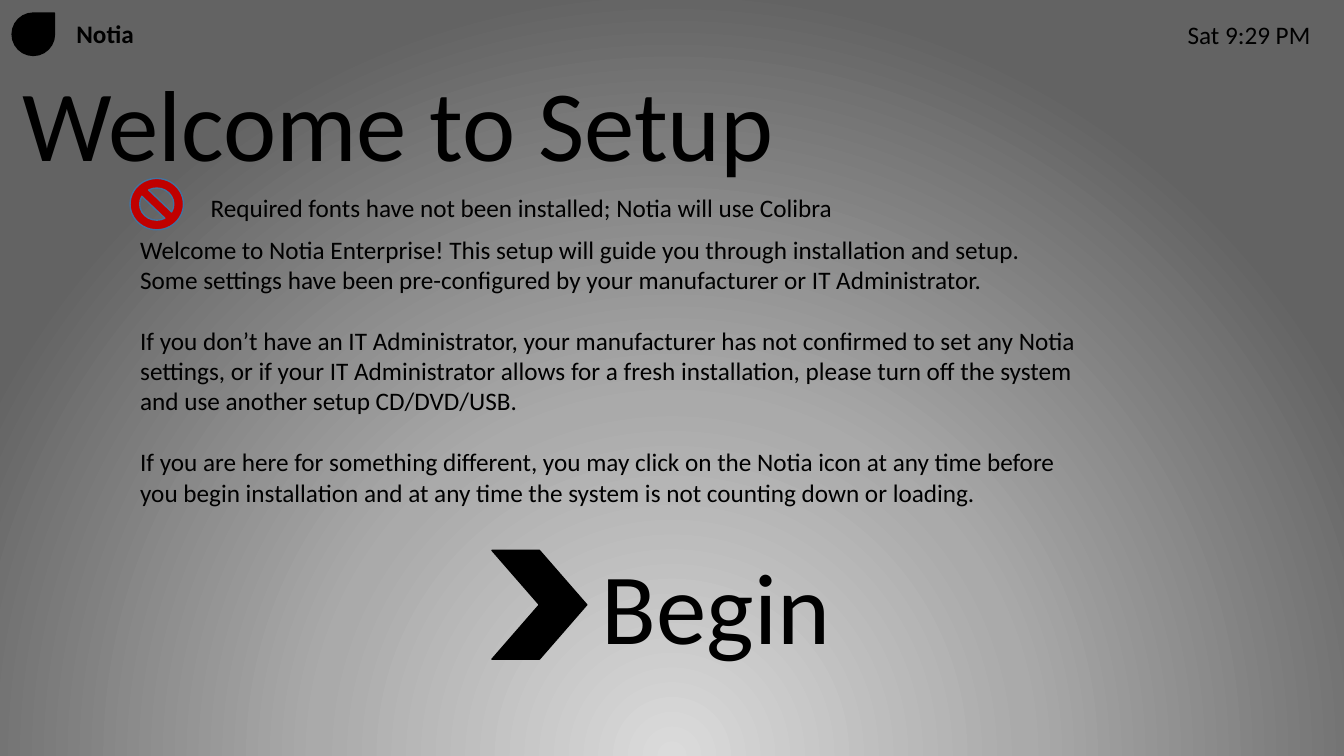
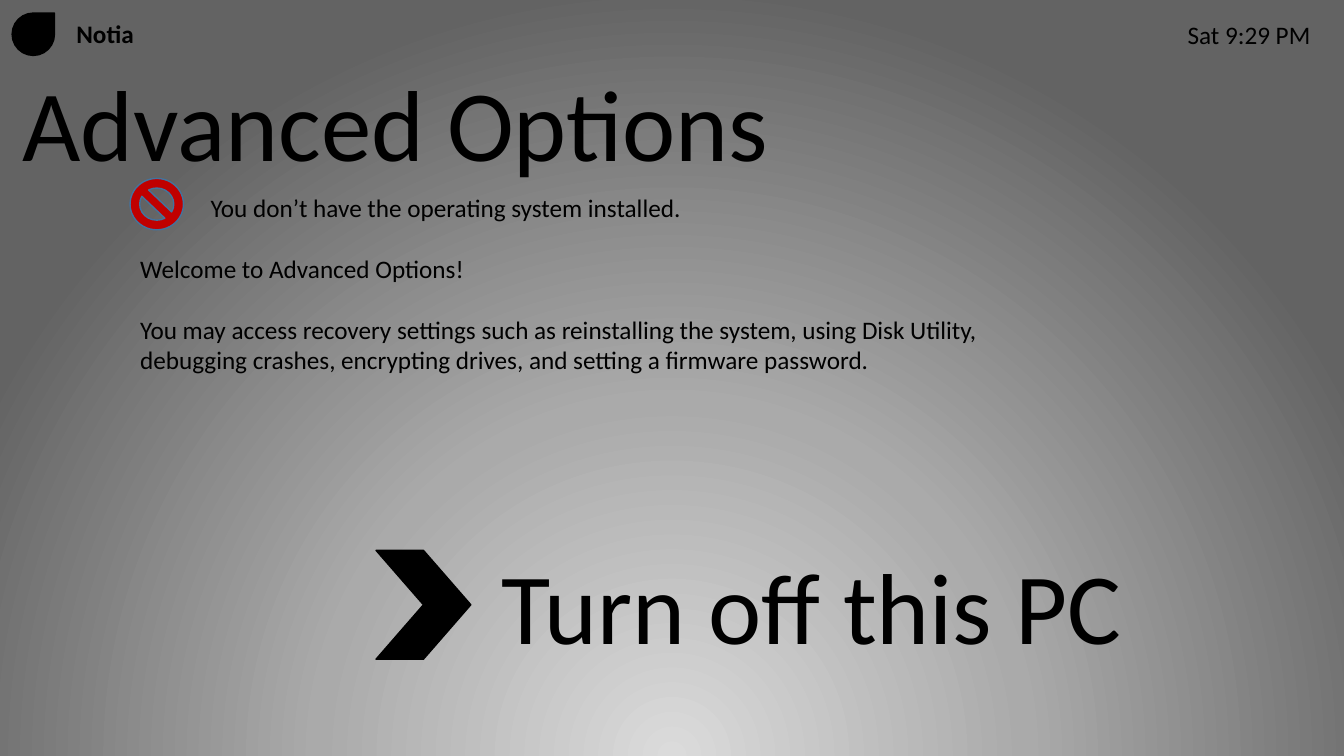
"""Build the two setup screens of the Notia installer."""
from pptx import Presentation
from pptx.dml.color import RGBColor
from pptx.enum.shapes import MSO_SHAPE
from pptx.enum.text import MSO_ANCHOR, MSO_AUTO_SIZE, PP_ALIGN
from pptx.oxml import parse_xml
from pptx.oxml.ns import nsdecls, qn
from pptx.util import Inches, Pt

TEAR, NO_SYMBOL, CHEVRON = MSO_SHAPE.TEAR, MSO_SHAPE.NO_SYMBOL, MSO_SHAPE.CHEVRON
TOP, LEFT, NO_FIT = MSO_ANCHOR.TOP, PP_ALIGN.LEFT, MSO_AUTO_SIZE.NONE
BLACK, RED, BLUE = "000000", "C00000", "43739E"
STOPS = [(0, "DBDBDB"), (46, "AAAAAA"), (100, "636363")]
SMALL = {"name": "Calibri", "size": Pt(18), "bold": False}
BOLD = {**SMALL, "bold": True}
LARGE = {**SMALL, "size": Pt(72)}
BLANK_LINE = Pt(22)

SCREENS = [
    {
        "title": "Welcome to Setup",
        "warning": "Required fonts have not been installed; Notia will use Colibra",
        "body_box": (1.29, 2.27, 9.51, 2.83),
        "body": [
            ("Welcome to Notia Enterprise! This setup will guide you through "
             "installation and setup.", 0),
            ("Some settings have been pre-configured by your manufacturer or "
             "IT Administrator.", 0),
            ("If you don’t have an IT Administrator, your manufacturer has not "
             "confirmed to set any Notia settings, or if your IT Administrator "
             "allows for a fresh installation, please turn off the system and "
             "use another setup CD/DVD/USB.", BLANK_LINE),
            ("If you are here for something different, you may click on the "
             "Notia icon at any time before you begin installation and at any "
             "time the system is not counting down or loading.", BLANK_LINE),
        ],
        "arrow_left": 4.88,
        "action": "Begin",
        "action_box": (5.87, 5.34, 3.79, 1.31),
    },
    {
        "title": "Advanced Options",
        "warning": "You don’t have the operating system installed.",
        "body_box": (1.29, 2.46, 9.51, 1.31),
        "body": [
            ("Welcome to Advanced Options!", 0),
            ("You may access recovery settings such as reinstalling the system, "
             "using Disk Utility, debugging crashes, encrypting drives, and "
             "setting a firmware password.", BLANK_LINE),
        ],
        "arrow_left": 3.73,
        "action": "Turn off this PC",
        "action_box": (4.88, 5.34, 7.09, 1.31),
    },
]


def color(value):
    return RGBColor.from_string(value)


def write(sp, box, paragraphs, style):
    sp.left, sp.top, sp.width, sp.height = map(Inches, box)
    tf = sp.text_frame
    tf.word_wrap, tf.auto_size, tf.vertical_anchor = True, NO_FIT, TOP
    for i, (text, gap) in enumerate(paragraphs):
        p = tf.add_paragraph() if i else tf.paragraphs[0]
        p.alignment, p.line_spacing = LEFT, 1.0
        p.space_before = gap
        pPr = p._p.get_or_add_pPr()
        pPr.set("marL", "0")
        pPr.set("indent", "0")
        pPr.append(parse_xml(f"<a:buNone {nsdecls('a')}/>"))
        r = p.add_run()
        r.text = text
        for key, value in style.items():
            setattr(r.font, key, value)
        r.font.color.rgb = color(BLACK)


prs = Presentation()
prs.slide_width, prs.slide_height = Inches(13.33), Inches(7.5)

master = prs.slide_master
master.background.fill.gradient()
grad = next(master.element.cSld.iter(qn("a:gradFill")))
stops = "".join(
    f'<a:gs pos="{pos * 1000}"><a:srgbClr val="{value}"/></a:gs>' for pos, value in STOPS
)
grad.getparent().replace(grad, parse_xml(
    f'<a:gradFill {nsdecls("a")} rotWithShape="1"><a:gsLst>{stops}</a:gsLst>'
    '<a:path path="circle"><a:fillToRect l="50000" t="130000" r="50000" b="-30000"/>'
    '</a:path></a:gradFill>'
))

for screen in SCREENS:
    s = prs.slides.add_slide(prs.slide_layouts[1])
    write(s.shapes.title, (0.12, 0.55, 7.92, 1.31), [(screen["title"], 0)], LARGE)
    write(s.placeholders[1], screen["body_box"], screen["body"], SMALL)

    for kind, box, fill, line in [
        (TEAR, (0.12, 0.13, 0.42, 0.42), BLACK, BLACK),
        (NO_SYMBOL, (1.29, 1.77, 0.53, 0.51), RED, BLUE),
        (CHEVRON, (screen["arrow_left"], 5.46, 0.94, 1.08), BLACK, BLACK),
    ]:
        sp = s.shapes.add_shape(kind, *map(Inches, box))
        sp.shadow.inherit = False
        sp.fill.solid()
        sp.fill.fore_color.rgb = color(fill)
        sp.line.color.rgb = color(line)
        sp.line.width = Pt(1)

    for text, box, style in [
        ("Notia", (0.66, 0.13, 1.53, 0.42), BOLD),
        ("Sat 9:29 PM", (11.68, 0.14, 1.44, 0.4), SMALL),
        (screen["warning"], (1.99, 1.86, 7.22, 0.42), SMALL),
        (screen["action"], screen["action_box"], LARGE),
    ]:
        sp = s.shapes.add_textbox(*map(Inches, box))
        write(sp, box, [(text, 0)], style)

prs.save("out.pptx")
